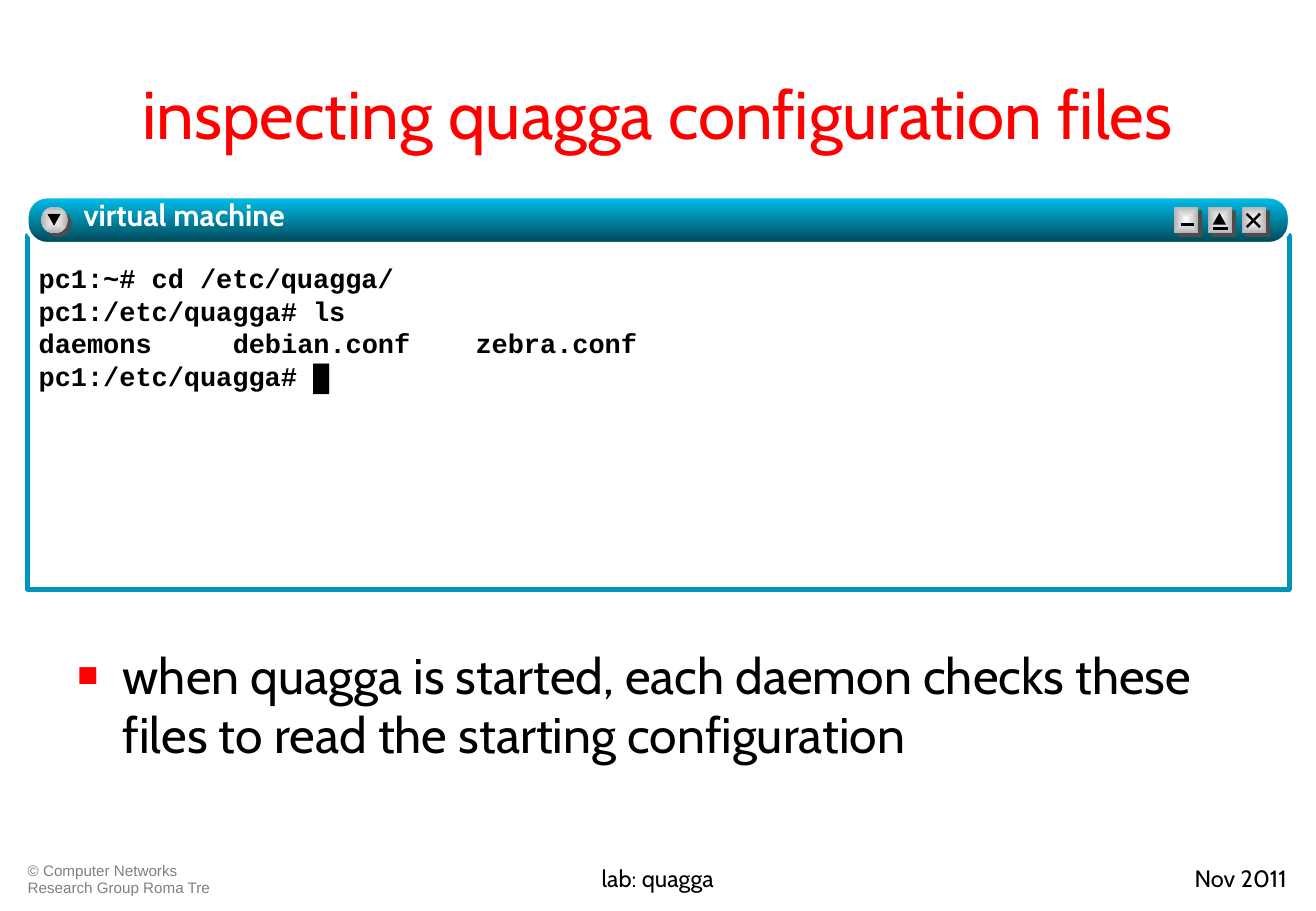
from dataclasses import dataclass, field
from typing import Any

from lxml.etree import SubElement
from pptx import Presentation
from pptx.dml.color import RGBColor
from pptx.enum.shapes import MSO_CONNECTOR as Connector, MSO_SHAPE as Shape
from pptx.enum.text import MSO_ANCHOR as Anchor, PP_ALIGN as Align
from pptx.oxml import parse_xml
from pptx.oxml.ns import nsdecls, qn
from pptx.util import Cm, Pt


@dataclass(frozen=True)
class Theme:
    red: str = "FF0000"
    black: str = "000000"
    white: str = "FFFFFF"
    grey: str = "808080"
    frame: str = "0095B8"
    shade: str = "4D4D4D"
    bar: tuple[str, str] = ("00C1EE", "004555")
    metal: tuple[str, str] = ("FEFEFE", "B2B2B2")
    sans: str = "Cabin"
    small: str = "Arial"
    mono: str = "Courier New"
    title_size: float = 40
    body_size: float = 29.6
    bar_size: float = 18
    code_size: float = 16
    footer_size: float = 14
    credit_size: float = 9


THEME = Theme()
Area = tuple[float, float, float, float]


@dataclass(frozen=True)
class Label:
    area: Area
    lines: tuple[str, ...]
    size: float
    face: str = THEME.sans
    color: str = THEME.black
    bold: bool = False
    anchor: Anchor = Anchor.TOP
    margins: tuple[float, float] = (0.25, 0.13)
    layout: dict[str, Any] = field(default_factory=dict)
    tabs: tuple[float, ...] = ()
    bullet: bool = False
    shadow: bool = False


@dataclass(frozen=True)
class Button:
    left: float
    kind: Shape = Shape.RECTANGLE
    width: float = 0.51
    strokes: tuple[Area, ...] = ()
    triangle: tuple[float, float] | None = None
    rotation: float = 0


BUTTON_TOP, BUTTON_HEIGHT, SHADE_SHIFT = 4.32, 0.56, 0.08
FIRST_BUTTON, BUTTON_STEP = 24.56, 0.71

BUTTONS = (
    Button(0.86, Shape.OVAL, BUTTON_HEIGHT, triangle=(0.13, 0.15), rotation=180),
    Button(FIRST_BUTTON, strokes=((0.15, 0.38, 0.41, 0.38),)),
    Button(FIRST_BUTTON + BUTTON_STEP, strokes=((0.1, 0.46, 0.41, 0.46),), triangle=(0.1, 0.13)),
    Button(FIRST_BUTTON + 2 * BUTTON_STEP,
           strokes=((0.1, 0.43, 0.38, 0.15), (0.1, 0.15, 0.38, 0.43))),
)

TITLE = Label((1.37, 0.76, 24.77, 3.18), ("inspecting quagga configuration files",),
              THEME.title_size, color=THEME.red, anchor=Anchor.MIDDLE,
              layout={"alignment": Align.CENTER})
BODY = Label((1.37, 13.34, 24.77, 3.3),
             ("when quagga is started, each daemon checks these files to read the starting configuration",),
             THEME.body_size, bullet=True)
TERMINAL = Label((0.61, 5.38, 26.37, 6.73),
                 ("pc1:~# cd /etc/quagga/", "pc1:/etc/quagga# ls",
                  "daemons\tdebian.conf\tzebra.conf", "pc1:/etc/quagga# █"),
                 THEME.code_size, THEME.mono, bold=True, margins=(0.2, 0.1), tabs=(4.06, 9.14))
BAR_TITLE = Label((1.75, 4.11, 18.42, 0.99), ("virtual machine",), THEME.bar_size,
                  color=THEME.white, bold=True, margins=(0, 0), shadow=True)
FOOTER = (
    Label((0.33, 17.93, 4.78, 0.91), ("© Computer Networks Research Group Roma Tre",),
          THEME.credit_size, THEME.small, THEME.grey, layout={"line_spacing": 0.9}),
    Label((7.04, 17.93, 13.44, 0.91), ("lab: quagga",), THEME.footer_size,
          layout={"alignment": Align.CENTER}),
    Label((20.9, 17.93, 6.27, 0.91), ("Nov 2011",), THEME.footer_size,
          layout={"alignment": Align.RIGHT}),
)


def apply(target: Any, values: dict[str, Any]) -> None:
    for name, value in values.items():
        setattr(target, name, value)


def add_bullet(para: Any) -> None:
    props = para._p.get_or_add_pPr()
    apply_indent = {"marL": Cm(0.95), "indent": -Cm(0.95)}
    for name, value in apply_indent.items():
        props.set(name, str(int(value)))
    color = SubElement(props, qn("a:buClr"))
    SubElement(color, qn("a:srgbClr"), val=THEME.red)
    SubElement(props, qn("a:buSzPct"), val="70000")
    SubElement(props, qn("a:buFont"), typeface=THEME.small)
    SubElement(props, qn("a:buChar"), char="■")


def add_tabs(para: Any, stops: tuple[float, ...]) -> None:
    tab_list = SubElement(para._p.get_or_add_pPr(), qn("a:tabLst"))
    for stop in stops:
        SubElement(tab_list, qn("a:tab"), pos=str(int(Cm(stop))), algn="l")


def add_text_shadow(span: Any) -> None:
    effect = parse_xml(
        f'<a:effectLst {nsdecls("a")}><a:outerShdw dist="25400" dir="2700000">'
        f'<a:srgbClr val="{THEME.black}"/></a:outerShdw></a:effectLst>')
    span._r.get_or_add_rPr().find(qn("a:solidFill")).addnext(effect)


def add_label(page: Any, label: Label) -> None:
    frame = page.shapes.add_textbox(*map(Cm, label.area)).text_frame
    side, edge = map(Cm, label.margins)
    apply(frame, {"word_wrap": True, "vertical_anchor": label.anchor, "margin_left": side,
                  "margin_right": side, "margin_top": edge, "margin_bottom": edge})
    for index, line in enumerate(label.lines):
        para = frame.add_paragraph() if index else frame.paragraphs[0]
        apply(para, label.layout)
        if label.bullet:
            add_bullet(para)
        if "\t" in line:
            add_tabs(para, label.tabs)
        span = para.add_run()
        span.text = line
        apply(span.font, {"name": label.face, "size": Pt(label.size), "bold": label.bold})
        span.font.color.rgb = RGBColor.from_string(label.color)
        if label.shadow:
            add_text_shadow(span)


def add_block(page: Any, kind: Shape, area: Area, fill: str | tuple[str, str],
              line: tuple[str, float] | None = None) -> Any:
    block = page.shapes.add_shape(kind, *map(Cm, area))
    block.shadow.inherit = False
    if isinstance(fill, str):
        block.fill.solid()
        block.fill.fore_color.rgb = RGBColor.from_string(fill)
    else:
        block.fill.gradient()
        block.fill.gradient_angle = 270
        for stop, color in zip(block.fill.gradient_stops, fill):
            stop.color.rgb = RGBColor.from_string(color)
    if line:
        block.line.color.rgb = RGBColor.from_string(line[0])
        block.line.width = Pt(line[1])
    else:
        block.line.fill.background()
    return block


def add_stroke(page: Any, ends: Area) -> None:
    stroke = page.shapes.add_connector(Connector.STRAIGHT, *map(Cm, ends))
    stroke.line.color.rgb = RGBColor.from_string(THEME.black)
    stroke.line.width = Pt(1.5)
    SubElement(stroke._element.spPr, qn("a:effectLst"))


def add_button(page: Any, button: Button) -> None:
    left, top = button.left, BUTTON_TOP
    size = (button.width, BUTTON_HEIGHT)
    add_block(page, button.kind, (left + SHADE_SHIFT, top + SHADE_SHIFT, *size), THEME.shade)
    face = add_block(page, button.kind, (left, top, *size), THEME.metal)
    linear = face._element.spPr.find(f".//{qn('a:lin')}")
    linear.getparent().replace(linear, parse_xml(
        f'<a:path {nsdecls("a")} path="rect">'
        '<a:fillToRect l="50000" t="50000" r="50000" b="50000"/></a:path>'))
    for x1, y1, x2, y2 in button.strokes:
        add_stroke(page, (left + x1, top + y1, left + x2, top + y2))
    if button.triangle:
        dx, dy = button.triangle
        arrow = add_block(page, Shape.ISOSCELES_TRIANGLE,
                          (left + dx, top + dy, 0.28, 0.25), THEME.black)
        arrow.rotation = button.rotation


def main() -> None:
    deck = Presentation()
    apply(deck, {"slide_width": Cm(27.53), "slide_height": Cm(19.05)})
    page = deck.slides.add_slide(deck.slide_layouts[6])
    add_label(page, TITLE)
    add_label(page, BODY)
    add_block(page, Shape.RECTANGLE, (0.58, 4.93, 26.39, 7.39), THEME.white, (THEME.frame, 3))
    add_label(page, TERMINAL)
    bar = add_block(page, Shape.ROUNDED_RECTANGLE, (0.56, 4.11, 26.42, 0.99),
                    THEME.bar, (THEME.white, 2.25))
    bar.adjustments[0] = 0.43
    for button in BUTTONS:
        add_button(page, button)
    for label in (BAR_TITLE, *FOOTER):
        add_label(page, label)
    deck.save("out.pptx")


if __name__ == "__main__":
    main()
